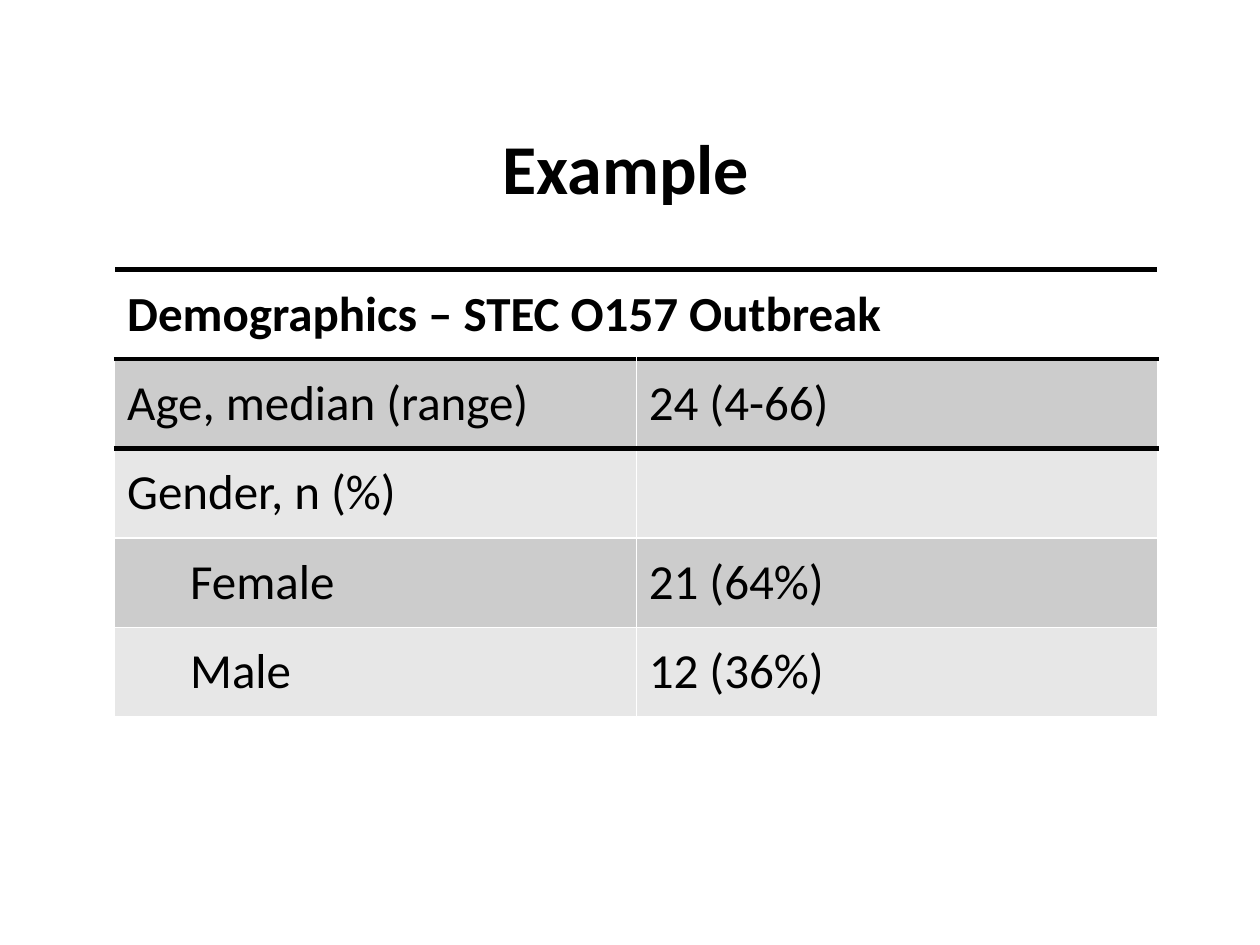
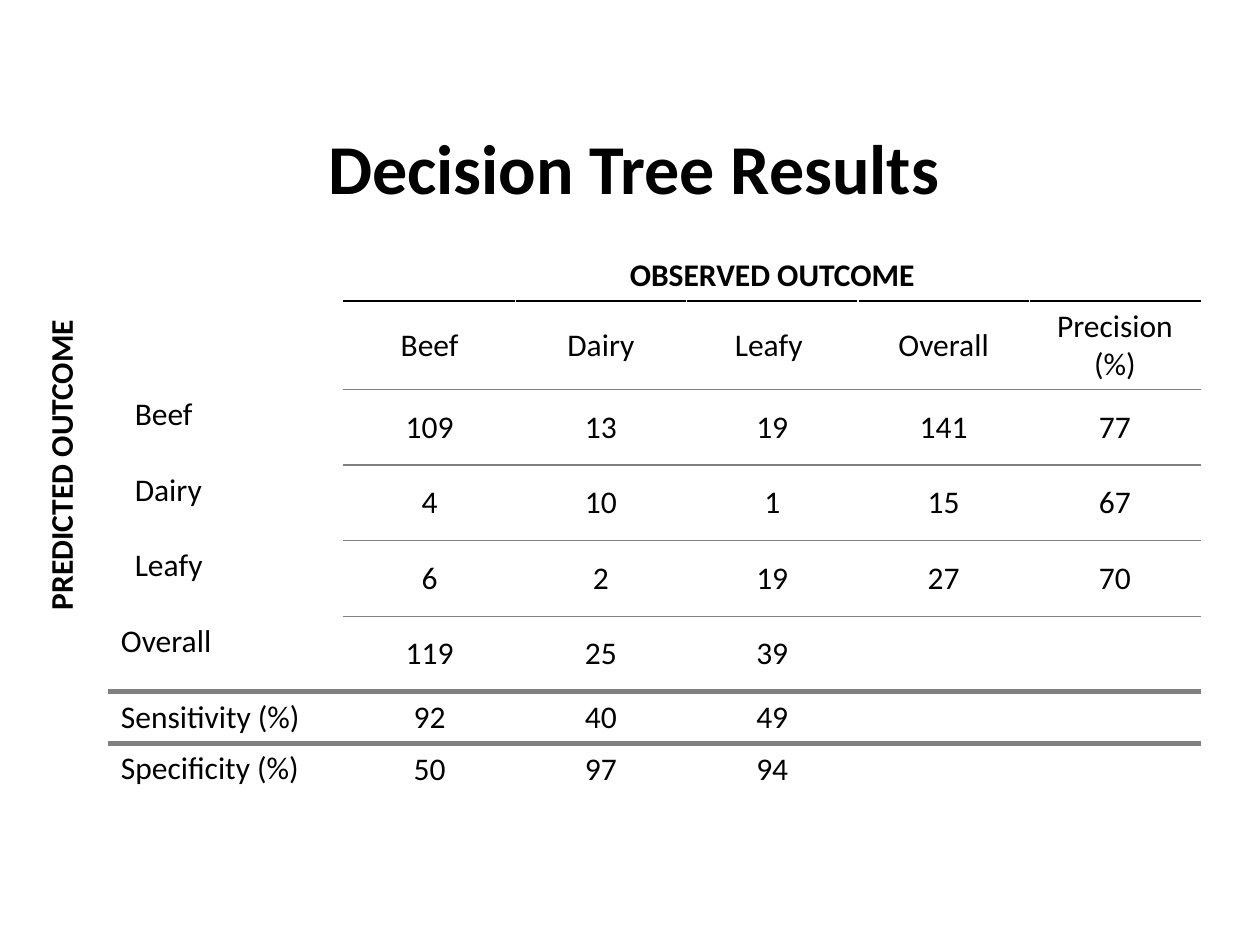
import pptx
import pptx.util
import pptx.dml.color
import pptx.enum.text
import pptx.oxml
import pptx.oxml.ns
from lxml import etree

Inches, Pt = pptx.util.Inches, pptx.util.Pt
RGBColor = pptx.dml.color.RGBColor
ALIGN, ANCHOR = pptx.enum.text.PP_ALIGN, pptx.enum.text.MSO_ANCHOR
qn = pptx.oxml.ns.qn

# Content
DEMOGRAPHICS = [
    ("Demographics – STEC O157 Outbreak", ""),
    ("Age, median (range)", "24 (4-66)"),
    ("Gender, n (%)", ""),
    ("Female", "21 (64%)"),
    ("Male", "12 (36%)"),
]
SUBGROUPS = ("Female", "Male")

RESULTS = [
    ("", "", "OBSERVED OUTCOME", "", "", "", ""),
    ("PREDICTED OUTCOME", "", "Beef", "Dairy", "Leafy ", "Overall", "Precision (%)"),
    ("", "Beef", "109", "13", "19", "141", "77"),
    ("", "Dairy", "4", "10", "1", "15", "67"),
    ("", "Leafy", "6", "2", "19", "27", "70"),
    ("", "Overall", "119", "25", "39", "", ""),
    ("", "Sensitivity (%)", "92", "40", "49", "", ""),
    ("", "Specificity (%)", "50", "97", "94", "", ""),
]
OUTCOMES = ("Beef", "Dairy", "Leafy")

# Shared style
FONT = "Calibri"
BLACK = RGBColor(0x00, 0x00, 0x00)
WHITE = RGBColor(0xFF, 0xFF, 0xFF)
GREY = RGBColor(0x80, 0x80, 0x80)
DARK_BAND = RGBColor(0xCC, 0xCC, 0xCC)
LIGHT_BAND = RGBColor(0xE7, 0xE7, 0xE7)

# Table rules: colour and width in points
PLAIN = (WHITE, 1)
HEAVY = (BLACK, 3)
HEADER = (BLACK, 1.5)
THIN = (GREY, 0.75)
THICK = (GREY, 3)
DEMOGRAPHICS_RULES = [HEAVY] * 3 + [PLAIN] * 3
LABEL_RULES = [PLAIN] * 6 + [THICK] * 2 + [PLAIN]
VALUE_RULES = [PLAIN, HEADER] + [THIN] * 4 + [THICK] * 2 + [PLAIN]


def set_text(tf, text, size=18, bold=False, align=ALIGN.LEFT, indent=0):
    p = tf.paragraphs[0]
    p.alignment = align
    if indent:
        p._p.get_or_add_pPr().set("marL", str(Inches(indent)))
    r = p.add_run()
    r.text = text
    r.font.name, r.font.size, r.font.bold = FONT, Pt(size), bold
    r.font.color.rgb = BLACK


def add_title_slide(prs, title):
    s = prs.slides.add_slide(prs.slide_layouts[6])
    tf = s.shapes.add_textbox(Inches(0.53), Inches(0.7), Inches(9), Inches(1.25)).text_frame
    tf.word_wrap = True
    tf.vertical_anchor = ANCHOR.MIDDLE
    set_text(tf, title, size=40, bold=True, align=ALIGN.CENTER)
    return s


def set_borders(cell, top, bottom):
    tcPr = cell._tc.get_or_add_tcPr()
    sides = {"lnL": PLAIN, "lnR": PLAIN, "lnT": top, "lnB": bottom}
    for side, (color, width) in sides.items():
        ln = etree.SubElement(tcPr, qn("a:" + side), w=str(Pt(width)))
        fill = etree.SubElement(ln, qn("a:solidFill"))
        etree.SubElement(fill, qn("a:srgbClr"), val=str(color))


def add_grid(s, left, top, widths, heights, column_rules):
    """Add a table whose columns each list their horizontal rules, top to bottom."""
    table = s.shapes.add_table(len(heights), len(widths), Inches(left), Inches(top),
                               Inches(sum(widths)), Inches(sum(heights))).table
    table.first_row = table.horz_banding = False
    for column, width in zip(table.columns, widths):
        column.width = Inches(width)
    for row, height in zip(table.rows, heights):
        row.height = Inches(height)
    for j, rules in enumerate(column_rules):
        for i in range(len(heights)):
            cell = table.cell(i, j)
            set_borders(cell, rules[i], rules[i + 1])
            cell.fill.background()
            cell.vertical_anchor = ANCHOR.MIDDLE
    return table


def build_demographics(prs):
    s = add_title_slide(prs, "Example ")
    table = add_grid(s, 0.91, 2.14, [4.14] * 2, [0.71] * 5, [DEMOGRAPHICS_RULES] * 2)
    table.cell(0, 0).merge(table.cell(0, 1))
    for i, row in enumerate(DEMOGRAPHICS):
        for j, text in enumerate(row):
            cell = table.cell(i, j)
            if i:
                cell.fill.solid()
                cell.fill.fore_color.rgb = DARK_BAND if i % 2 else LIGHT_BAND
            if text:
                set_text(cell.text_frame, text, size=28, bold=i == 0,
                         indent=0.5 if text in SUBGROUPS else 0)


def build_results(prs):
    s = add_title_slide(prs, "Decision Tree Results")
    table = add_grid(s, 0.29, 1.79, [0.57, 1.87] + [1.36] * 5, [0.6] * 6 + [0.41] * 2,
                     [[PLAIN] * 9, LABEL_RULES] + [VALUE_RULES] * 5)
    observed, predicted = table.cell(0, 2), table.cell(1, 0)
    observed.merge(table.cell(0, 6))
    predicted.merge(table.cell(5, 0))

    # Axis headings
    observed.vertical_anchor = predicted.vertical_anchor = ANCHOR.BOTTOM
    predicted._tc.get_or_add_tcPr().set("vert", "vert270")
    predicted.margin_left = predicted.margin_right = Inches(0.05)

    for i, row in enumerate(RESULTS):
        for j, text in enumerate(row):
            cell = table.cell(i, j)
            if j == 1:
                cell.vertical_anchor = ANCHOR.TOP
            if not text:
                continue
            indent = 0.5 if j == 0 else 0.11 if j == 1 and text in OUTCOMES else 0
            set_text(cell.text_frame, text, bold=i == 0 or j == 0, indent=indent,
                     align=ALIGN.LEFT if j == 1 else ALIGN.CENTER)


def main():
    prs = pptx.Presentation()
    prs.slide_width, prs.slide_height = Inches(10), Inches(7.5)
    build_demographics(prs)
    build_results(prs)
    prs.save("out.pptx")


if __name__ == "__main__":
    main()
